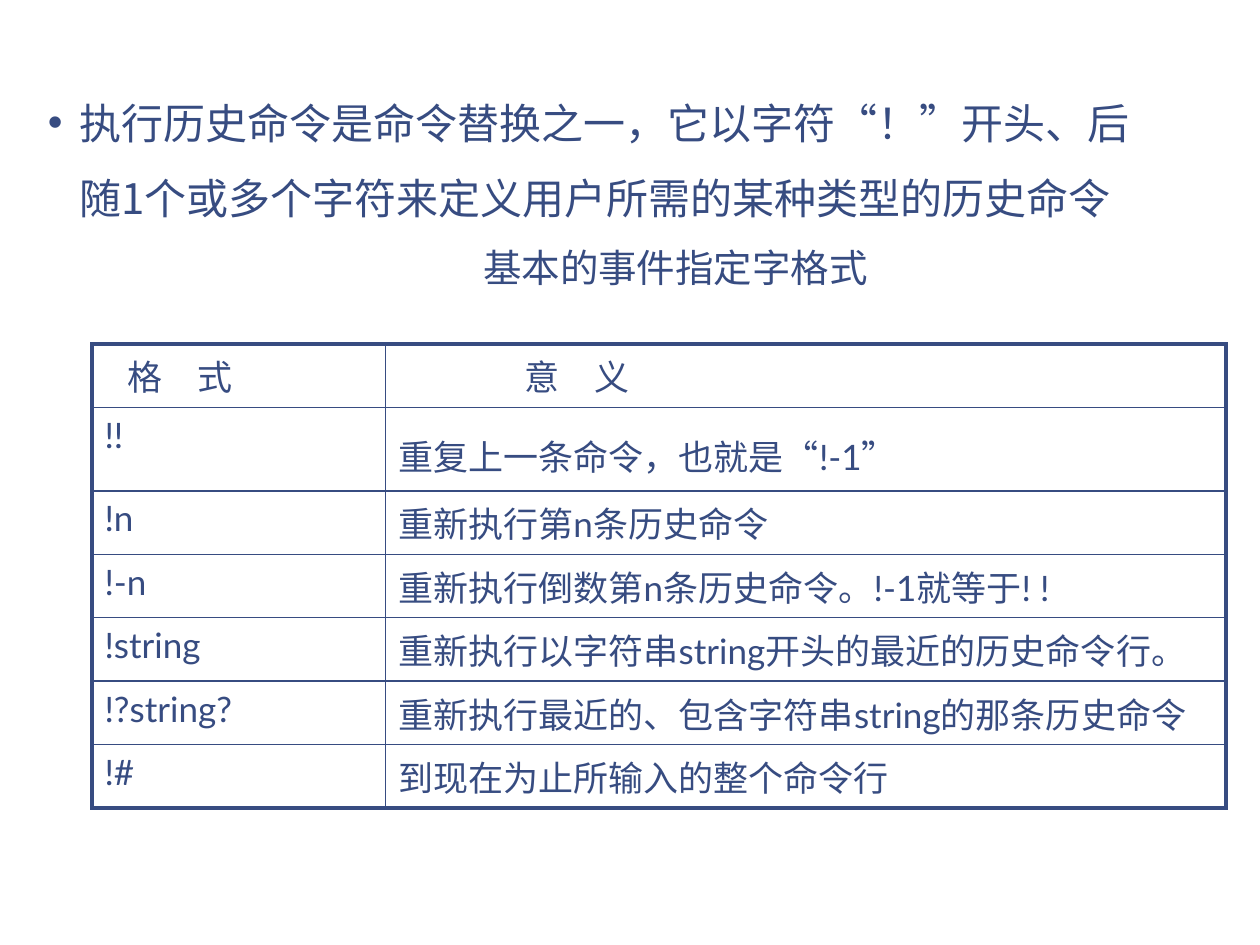
"""Slide on shell history commands with a table of event designators."""
from dataclasses import dataclass

from lxml.etree import SubElement
from pptx import Presentation
from pptx.dml.color import RGBColor as Rgb
from pptx.enum.text import MSO_ANCHOR as Anchor, MSO_AUTO_SIZE as AutoSize, PP_ALIGN as Align
from pptx.oxml import parse_xml
from pptx.oxml.ns import nsdecls, qn
from pptx.util import Inches, Pt


@dataclass(frozen=True)
class Theme:
    ink: str = "374C81"
    cjk: str = "Noto Sans CJK SC"
    latin: str = "Lato"
    quote: str = "Arial"
    intro: int = 24
    caption: int = 22
    cell: int = 20
    tail: int = 28
    outer: float = 2.25
    inner: float = 1


theme = Theme()


def add_run(paragraph, text, size, face):
    run = paragraph.add_run()
    run.text = text
    run.font.size = Pt(size)
    run.font.name = face
    run.font.color.rgb = Rgb.from_string(theme.ink)
    SubElement(run.font._element, qn("a:ea"), typeface=theme.cjk)


def set_indent(paragraph, left, first=0):
    properties = paragraph._p.get_or_add_pPr()
    properties.set("marL", str(Inches(left)))
    properties.set("indent", str(Inches(first)))
    return properties


deck = Presentation()
deck.slide_width, deck.slide_height = Inches(10), Inches(7.5)
slide = deck.slides.add_slide(deck.slide_layouts[1])
title = slide.shapes.title
title._element.getparent().remove(title._element)

body = slide.placeholders[1]
body.left, body.top, body.width, body.height = map(Inches, (0.25, 0.5, 9, 6.25))
frame = body.text_frame
frame.auto_size = AutoSize.NONE
frame.word_wrap = True
frame.vertical_anchor = Anchor.TOP
frame.margin_left = frame.margin_right = Inches(0.13)
frame.margin_top = frame.margin_bottom = Inches(0.07)

intro = frame.paragraphs[0]
intro.line_spacing = 1.5
intro.space_before = Pt(14)
bullet = set_indent(intro, 0.25, -0.25)
SubElement(bullet, qn("a:buFont"), typeface=theme.quote)
SubElement(bullet, qn("a:buChar"), char="•")
for text, face in (
    ("执行历史命令是命令替换之一，它以字符", theme.cjk),
    ("“", theme.quote),
    ("！", theme.cjk),
    ("”", theme.quote),
    ("开头、后随1个或多个字符来定义用户所需的某种类型的历史命令", theme.cjk),
):
    add_run(intro, text, theme.intro, face)

caption = frame.add_paragraph()
caption.alignment = Align.CENTER
caption.line_spacing = 0.95
caption.space_before = Pt(14)
SubElement(set_indent(caption, 1.22), qn("a:buNone"))
add_run(caption, "基本的事件指定字格式", theme.caption, theme.cjk)

rows = [
    ("格　式", "意　义"),
    ("!!", ("重复上一条命令，也就是", "“", "!-1", "”", " ")),
    ("!n", "重新执行第n条历史命令"),
    ("!-n", "重新执行倒数第n条历史命令。!-1就等于! !"),
    ("!string", "重新执行以字符串string开头的最近的历史命令行。"),
    ("!?string?", "重新执行最近的、包含字符串string的那条历史命令"),
    ("!#", "到现在为止所输入的整个命令行"),
]
heading_indents = (0.18, 1)
table = slide.shapes.add_table(
    len(rows), 2, Inches(0.73), Inches(2.73), Inches(9), Inches(3.17)
).table
table.first_row = table.horz_banding = False
for column, width in zip(table.columns, (2.33, 6.67)):
    column.width = Inches(width)

for r, entries in enumerate(rows):
    table.rows[r].height = Inches(0.57 if r == 1 else 0.43)
    for c, entry in enumerate(entries):
        cell = table.cell(r, c)
        cell.fill.background()
        line = cell.text_frame.paragraphs[0]
        if r == 0:
            set_indent(line, heading_indents[c])
        for text in (entry,) if isinstance(entry, str) else entry:
            face = theme.quote if text in ("“", "”") else theme.latin
            add_run(line, text, theme.tail if text == " " else theme.cell, face)
        edges = {"L": c == 0, "R": c == 1, "T": r == 0, "B": r == len(rows) - 1}
        for position, (side, is_outer) in enumerate(edges.items()):
            weight = Pt(theme.outer if is_outer else theme.inner)
            cell._tc.get_or_add_tcPr().insert(position, parse_xml(
                f'<a:ln{side} {nsdecls("a")} w="{weight}"><a:solidFill>'
                f'<a:srgbClr val="{theme.ink}"/></a:solidFill></a:ln{side}>'
            ))

deck.save("out.pptx")
